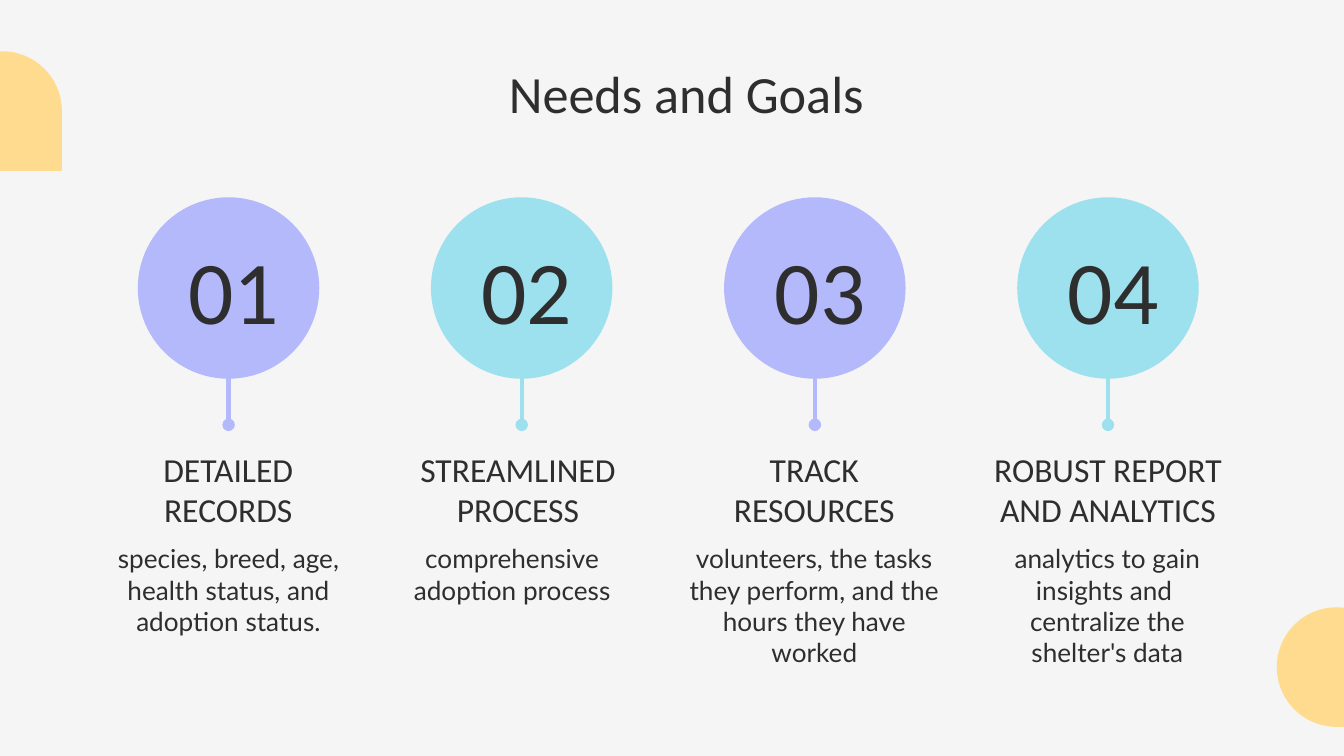
from lxml.etree import SubElement as Sub
from pptx import Presentation
from pptx.dml.color import RGBColor
from pptx.enum.shapes import MSO_CONNECTOR as Link, MSO_SHAPE as Kind
from pptx.enum.text import MSO_ANCHOR as Anchor, PP_ALIGN as Align
from pptx.oxml.ns import qn
from pptx.util import Cm, Pt

TITLE = "Needs and Goals"
INK, PAPER, SAND = "2E2E2E", "F5F5F5", "FFDB8F"
HUES = ["B3B9FB", "9DE0EE"]
GOALS = [
    dict(head="DETAILED RECORDS", left=2.18, wide=4.27, start=1.68,
         body="species, breed, age, health status, and adoption status."),
    dict(head="STREAMLINED PROCESS", left=7.21, wide=5.16, start=7.04,
         body="comprehensive adoption process"),
    dict(head="TRACK RESOURCES", left=13.13, wide=4.52, start=12.75,
         body="volunteers, the tasks they perform, and the hours they have worked"),
    dict(head="ROBUST REPORT AND ANALYTICS", left=18.11, wide=5.66, start=18.29,
         body="analytics to gain insights and \ncentralize the shelter's data"),
]
DROPS = [(24.13, 11.48), (-1.09, 0.97)]
FIRST, STEP, SIZE, TOP = 4.32, 5.54, 3.43, 3.73


def tint(code):
    """Turn a hex string into a colour."""
    return RGBColor.from_string(code)


def shape(kind, x, y, size, hue):
    """Add a plain filled shape."""
    form = slide.shapes.add_shape(kind, Cm(x), Cm(y), Cm(size), Cm(size))
    form.shadow.inherit = False
    form.fill.solid()
    form.fill.fore_color.rgb = tint(hue)
    form.line.fill.background()
    return form


def stem(x, hue):
    """Add an upright line with a dot at its foot."""
    line = slide.shapes.add_connector(Link.STRAIGHT, Cm(x), Cm(6.25), Cm(x), Cm(8.03))
    line.line.width = Pt(2.25)
    line.line.color.rgb = tint(hue)
    Sub(line.line._get_or_add_ln(), qn("a:tailEnd"), type="oval")
    Sub(line._element.spPr, qn("a:effectLst"))


def write(text, x, y, wide, high, size=18, font="Calibri", anchor=Anchor.TOP):
    """Add a centred text box."""
    frame = slide.shapes.add_textbox(Cm(x), Cm(y), Cm(wide), Cm(high)).text_frame
    frame.word_wrap = True
    frame.vertical_anchor = anchor
    frame.margin_left = frame.margin_right = Cm(0.25)
    frame.margin_top = frame.margin_bottom = Cm(0.25)
    para = frame.paragraphs[0]
    para.text = text
    para.alignment = Align.CENTER
    for run in para.runs:
        run.font.size = Pt(size)
        run.font.name = font
        run.font.color.rgb = tint(INK)


deck = Presentation()
deck.slide_width, deck.slide_height = Cm(25.4), Cm(14.29)
slide = deck.slides.add_slide(deck.slide_layouts[6])
slide.background.fill.solid()
slide.background.fill.fore_color.rgb = tint(PAPER)

for x, y in DROPS:
    drop = shape(Kind.TEAR, x, y, 2.26, SAND)
    drop.rotation = 90

write(TITLE, 4.32, 0.91, 17.3, 1.75, size=28)
for i, goal in enumerate(GOALS):
    mid, hue = FIRST + i * STEP, HUES[i % 2]
    stem(mid, hue)
    shape(Kind.OVAL, mid - SIZE / 2, TOP, SIZE, hue)
    write(f"{i + 1:02}", mid - 2.34, 4.65, 4.88, 1.6, size=48, anchor=Anchor.MIDDLE)
    write(goal["head"], goal["left"], 8.23, goal["wide"], 1.6)
    write(goal["body"], goal["start"], 10.01, 5.28, 2.39, size=14, font="Lato")

deck.save("out.pptx")
